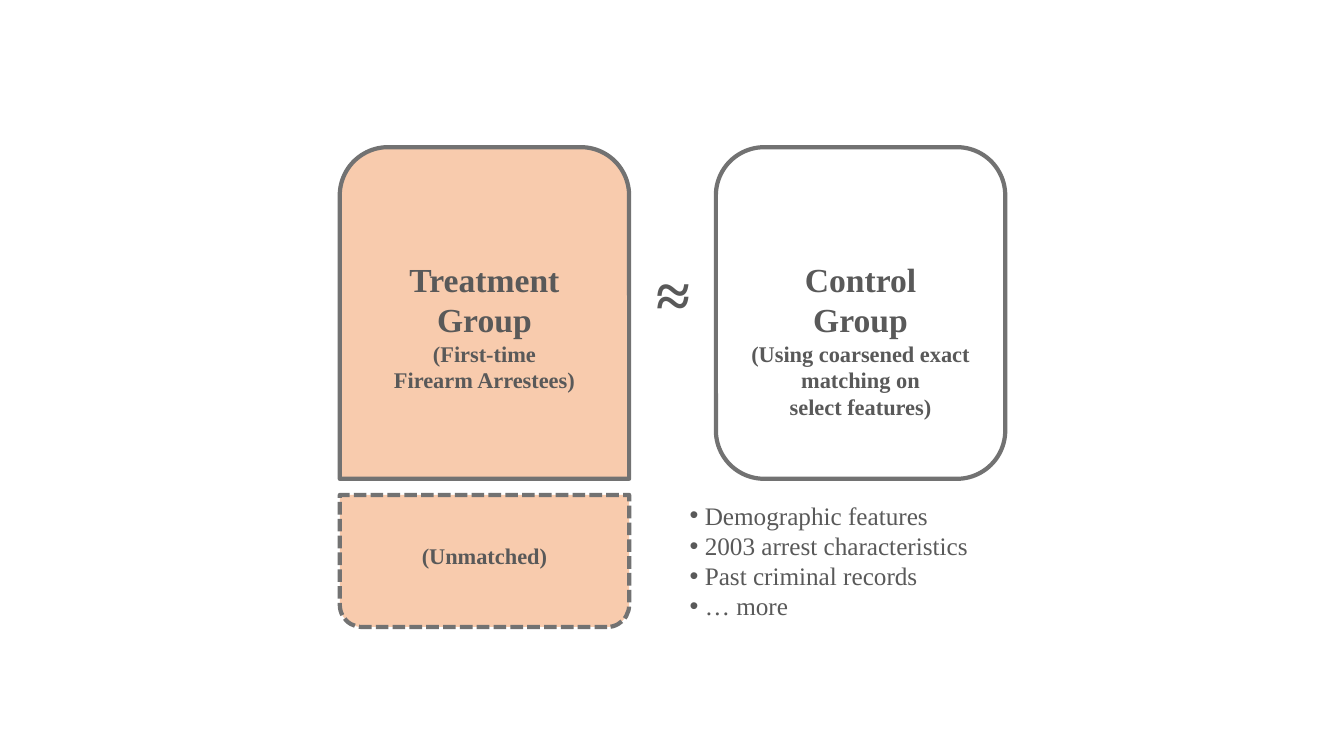
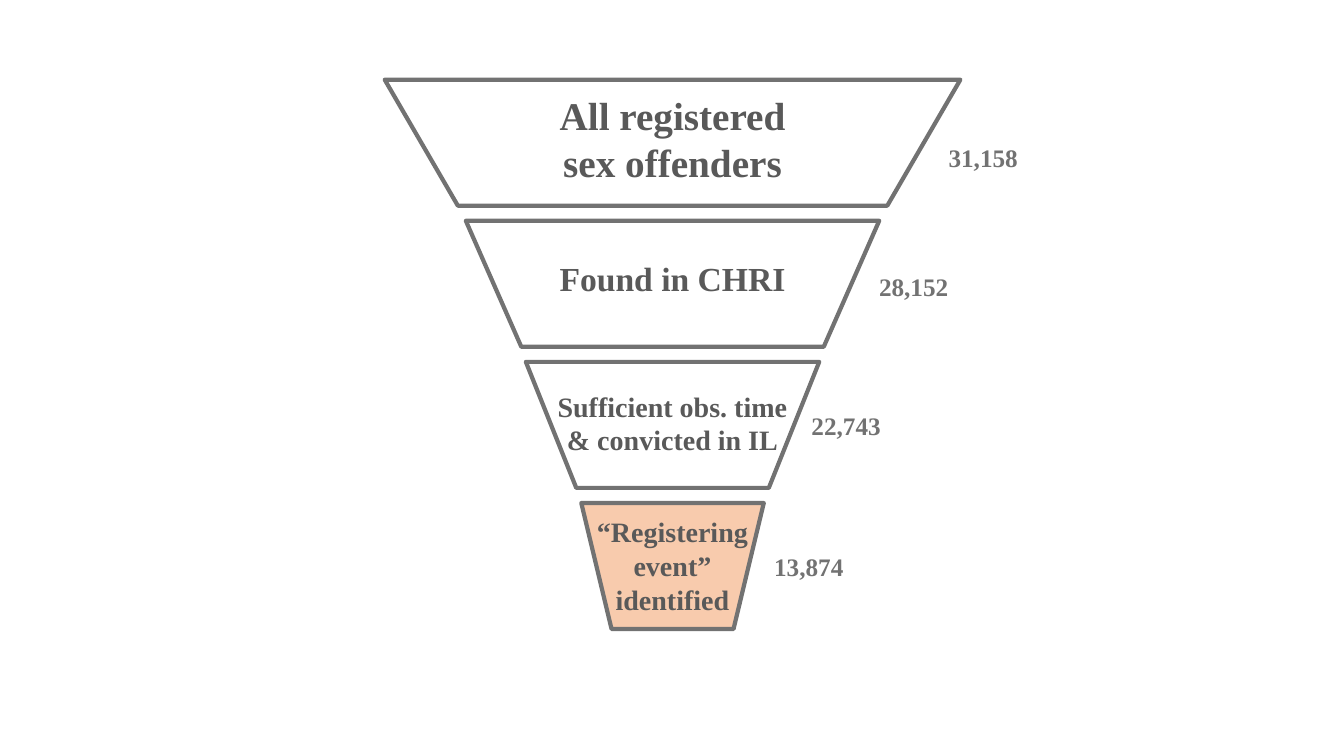
from pptx import Presentation
from pptx.dml.color import RGBColor
from pptx.enum.dml import MSO_LINE_DASH_STYLE as Dash
from pptx.enum.shapes import MSO_SHAPE as Preset
from pptx.enum.text import PP_ALIGN as Align
from pptx.oxml.ns import qn
from pptx.util import Inches, Pt
from lxml.etree import SubElement

PEACH = RGBColor(0xF8, 0xCB, 0xAD)
OUTLINE = RGBColor(0x72, 0x72, 0x72)
INK = RGBColor(0x59, 0x59, 0x59)
FONT = "Times New Roman"
CONTENT_LAYOUT, BLANK_LAYOUT = 1, 6


class Diagram:
    """Holds the shared style and the slide being built."""

    def __init__(self):
        """Start a widescreen presentation."""
        self.deck = Presentation()
        self.deck.slide_width = Inches(13.33)
        self.deck.slide_height = Inches(7.5)
        self.slide = None

    def new_slide(self, layout):
        """Add a slide and make it the current one."""
        self.slide = self.deck.slides.add_slide(self.deck.slide_layouts[layout])

    def block(self, preset, left, top, width, height, fill=None,
              flipped=False, dash=None, adjust=None):
        """Draw an outlined shape, optionally filled, dashed or upside down."""
        shape = self.slide.shapes.add_shape(
            preset, Inches(left), Inches(top), Inches(width), Inches(height))
        shape.shadow.inherit = False
        shape.rotation = 180 if flipped else 0
        if adjust is not None:
            shape.adjustments[0] = adjust
        if fill is None:
            shape.fill.background()
        else:
            shape.fill.solid()
            shape.fill.fore_color.rgb = fill
        shape.line.color.rgb = OUTLINE
        shape.line.width = Pt(3)
        if dash is not None:
            shape.line.dash_style = dash

    def set_lines(self, frame, lines, color, bold, align):
        """Fill a text frame with (text, size) lines."""
        frame.word_wrap = True
        frame.text = "\n".join(text for text, _ in lines)
        for paragraph, (_, size) in zip(frame.paragraphs, lines):
            paragraph.alignment = align
            font = paragraph.runs[0].font
            font.name, font.size, font.bold = FONT, Pt(size), bold
            font.color.rgb = color

    def label(self, lines, left, top, width, height, color=INK, align=Align.CENTER):
        """Add a bold text box."""
        box = self.slide.shapes.add_textbox(
            Inches(left), Inches(top), Inches(width), Inches(height))
        self.set_lines(box.text_frame, lines, color, True, align)

    def bullets(self, items, left, top, width, height, size):
        """Put a bulleted list in the body placeholder and drop the unused title."""
        title, body = self.slide.placeholders
        title.element.getparent().remove(title.element)
        body.left, body.top = Inches(left), Inches(top)
        body.width, body.height = Inches(width), Inches(height)
        self.set_lines(body.text_frame, [(item, size) for item in items],
                       INK, False, Align.LEFT)
        for paragraph in body.text_frame.paragraphs:
            paragraph.space_before = Pt(0)
            properties = paragraph._p.get_or_add_pPr()
            properties.set("marL", str(Inches(0.15)))
            properties.set("indent", str(-Inches(0.15)))
            SubElement(properties, qn("a:buFont")).set("typeface", "Arial")
            SubElement(properties, qn("a:buChar")).set("char", "•")


def build_matching(diagram):
    """Treatment group matched against a control group."""
    treatment_x, control_x, width = 3.37, 7.1, 2.87
    group_top, group_height = 1.46, 3.29
    rest_top, rest_height = 4.91, 1.31
    diagram.new_slide(CONTENT_LAYOUT)
    diagram.block(Preset.ROUND_2_SAME_RECTANGLE, treatment_x, group_top,
                  width, group_height, PEACH)
    diagram.block(Preset.ROUNDED_RECTANGLE, control_x, group_top,
                  width, group_height, flipped=True)
    diagram.block(Preset.ROUND_2_SAME_RECTANGLE, treatment_x, rest_top,
                  width, rest_height, PEACH, flipped=True, dash=Dash.SQUARE_DOT)
    diagram.label([("Treatment", 24), ("Group", 24), ("(First-time", 16),
                   ("Firearm Arrestees)", 16)], treatment_x, 2.52, width, 1.45)
    diagram.label([("Control", 24), ("Group", 24),
                   ("(Using coarsened exact matching on", 16),
                   ("select features)", 16)], control_x, 2.52, width, 1.72)
    diagram.label([("≈", 44)], 6.39, 2.49, 0.57, 0.84)
    diagram.label([("(Unmatched)", 16)], treatment_x, 5.33, width, 0.37)
    diagram.bullets(["Demographic features", "2003 arrest characteristics",
                     "Past criminal records", "… more"],
                    6.74, rest_top, 3.23, rest_height, 18)


def build_funnel(diagram):
    """Funnel from all registered offenders to identified events."""
    center, first_top, pitch, height = 6.67, 0.79, 1.4, 1.25
    label_width = 6.21
    # width, slant, fill, lines, size, label top, count, count left, count top
    tiers = [
        (5.71, 0.58, None, ["All registered", "sex offenders"], 28, 0.86,
         "31,158", 9.31, 1.36),
        (4.1, 0.44, None, ["Found in CHRI"], 24, 2.51,
         "28,152", 8.62, 2.64),
        (2.91, 0.4, None, ["Sufficient obs. time", "& convicted in IL"], 20, 3.81,
         "22,743", 7.95, 4.02),
        (1.81, 0.24, PEACH, ["“Registering", "event”", "identified"], 20, 5.06,
         "13,874", 7.58, 5.42),
    ]
    diagram.new_slide(BLANK_LAYOUT)
    for row, (width, slant, fill, lines, size, label_top,
              count, count_left, count_top) in enumerate(tiers):
        diagram.block(Preset.TRAPEZOID, center - width / 2, first_top + row * pitch,
                      width, height, fill, flipped=True, adjust=slant)
        diagram.label([(line, size) for line in lines], center - label_width / 2,
                      label_top, label_width, 0.1 + len(lines) * size / 60)
        diagram.label([(count, 18)], count_left, count_top, 1.2, 0.4,
                      OUTLINE, Align.LEFT)


diagram = Diagram()
build_matching(diagram)
build_funnel(diagram)
diagram.deck.save("out.pptx")
